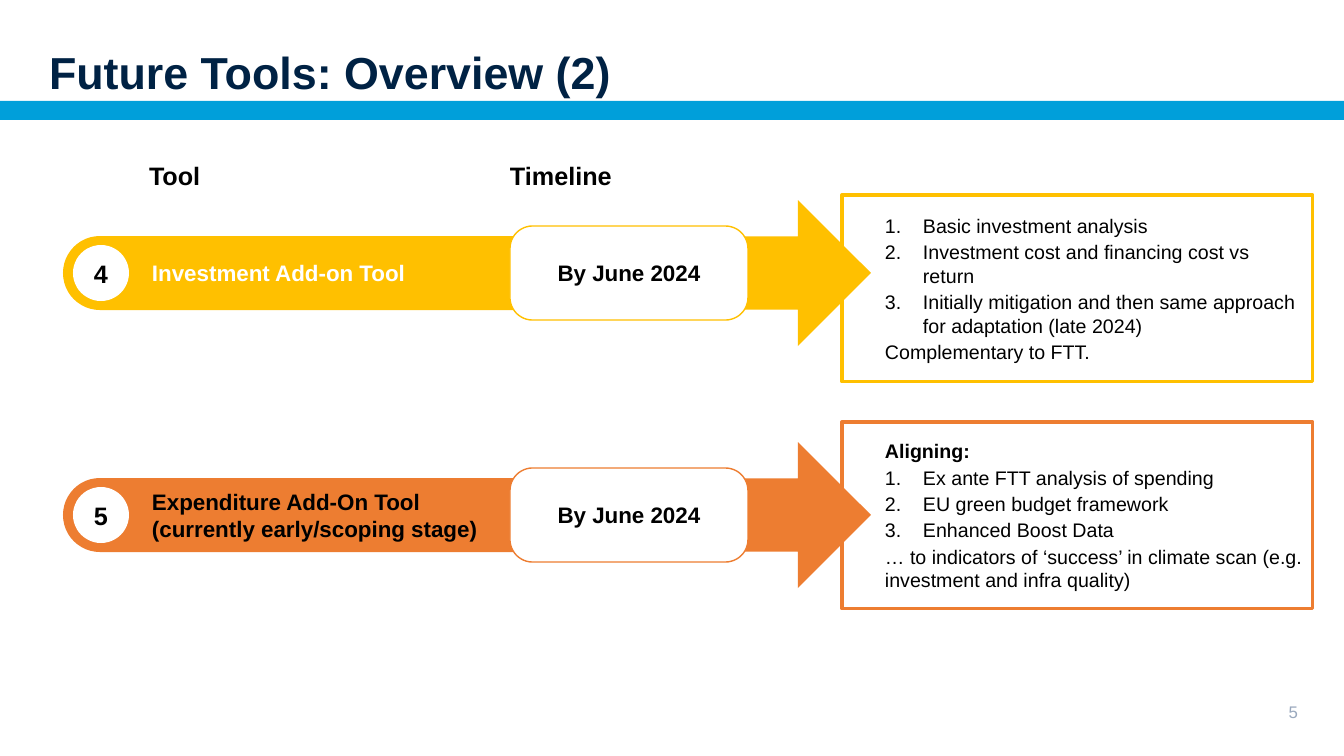
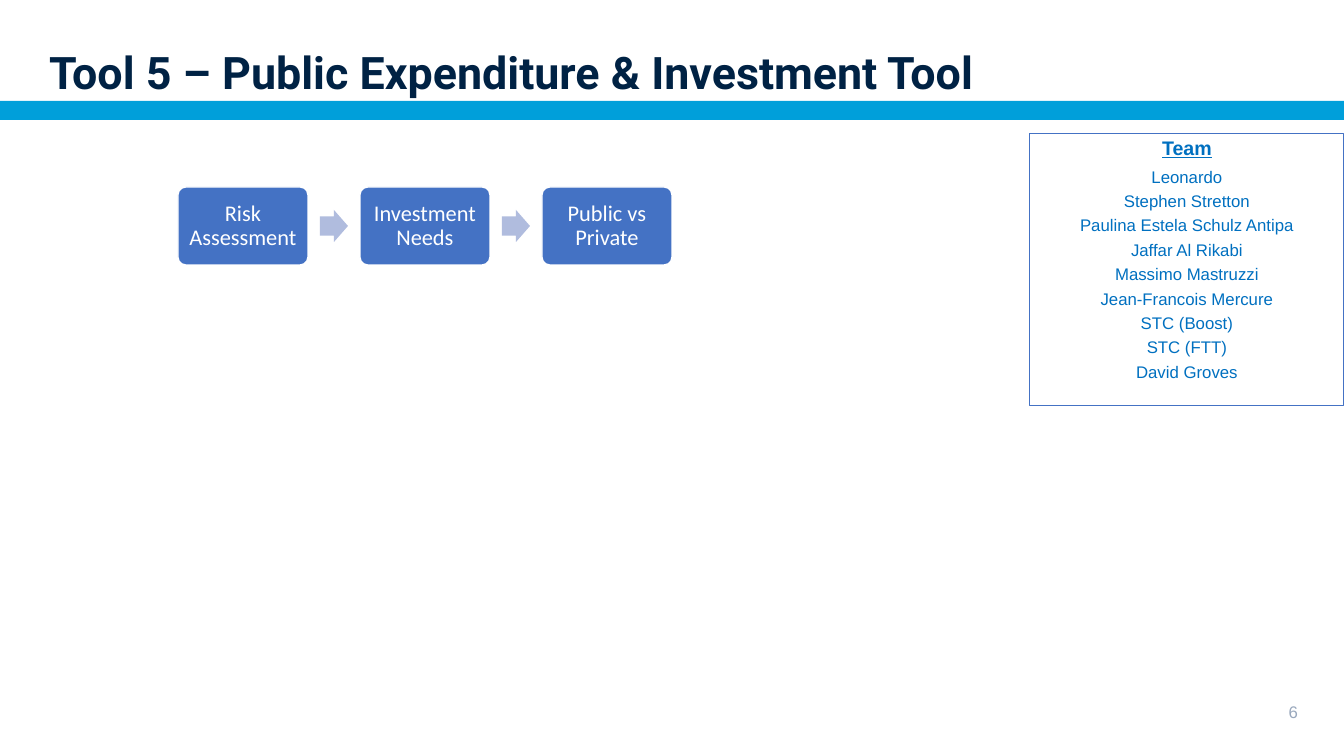
"""Builds two slides on future tools: a timeline overview and the tool 5 process."""
from lxml.etree import SubElement
from pptx import Presentation
from pptx.dml.color import RGBColor
from pptx.enum.shapes import MSO_SHAPE as Shape
from pptx.enum.text import MSO_ANCHOR as Anchor, PP_ALIGN as Align
from pptx.oxml.ns import qn
from pptx.util import Pt

SLIDE_WIDTH, SLIDE_HEIGHT = 1344, 756
EMU_PER_PX = 12192000 / SLIDE_WIDTH

NAVY = RGBColor(0x00, 0x22, 0x44)
CYAN = RGBColor(0x00, 0x9F, 0xDA)
GREY = RGBColor(0x99, 0xA8, 0xBD)
BLACK = RGBColor(0x00, 0x00, 0x00)
WHITE = RGBColor(0xFF, 0xFF, 0xFF)
YELLOW = RGBColor(0xFF, 0xC0, 0x00)
ORANGE = RGBColor(0xED, 0x7D, 0x31)
BLUE = RGBColor(0x44, 0x72, 0xC4)
TEAM_BLUE = RGBColor(0x00, 0x70, 0xC0)
PALE_BLUE = RGBColor(0xB0, 0xBC, 0xDE)

NO_INSETS = (0, 0, 0, 0)
DEFAULT_INSETS = (10, 5, 10, 5)
HEADING, NUMBERED, PLAIN = "heading", "numbered", "plain"

OVERVIEW_ROWS = [
    {
        "number": "4", "label": "Investment Add-on Tool", "label_color": WHITE,
        "date": "By June 2024", "color": YELLOW, "top": 200, "panel_top": 195,
        "lines": [
            (NUMBERED, "Basic investment analysis"),
            (NUMBERED, "Investment cost and financing cost vs return"),
            (NUMBERED, "Initially mitigation and then same approach for adaptation (late 2024)"),
            (PLAIN, "Complementary to FTT."),
        ],
    },
    {
        "number": "5", "label": "Expenditure Add-On Tool\n(currently early/scoping stage)",
        "label_color": BLACK, "date": "By June 2024", "color": ORANGE, "top": 442, "panel_top": 422,
        "lines": [
            (HEADING, "Aligning:"),
            (NUMBERED, "Ex ante FTT analysis of spending"),
            (NUMBERED, "EU green budget framework"),
            (NUMBERED, "Enhanced Boost Data"),
            (PLAIN, "… to indicators of ‘success’ in climate scan (e.g. investment and infra quality)"),
        ],
    },
]
PROCESS_STEPS = ["Risk Assessment", "Investment Needs", "Public vs Private"]
TEAM = [
    "Leonardo", "Stephen Stretton", "Paulina Estela Schulz Antipa", "Jaffar Al Rikabi",
    "Massimo Mastruzzi", "Jean-Francois Mercure", "STC (Boost)", "STC (FTT)", "David Groves",
]


def px(length):
    """Turn pixels into EMU."""
    return round(length * EMU_PER_PX)


def add_box(slide, kind, box, fill=None, line=None, line_width=1, adjustments=()):
    """Add a preset shape with an optional fill and outline."""
    shape = slide.shapes.add_shape(kind, *map(px, box))
    shape.shadow.inherit = False
    for index, value in enumerate(adjustments):
        shape.adjustments[index] = value
    if fill is None:
        shape.fill.background()
    else:
        shape.fill.solid()
        shape.fill.fore_color.rgb = fill
    if line is None:
        shape.line.fill.background()
    else:
        shape.line.color.rgb = line
        shape.line.width = Pt(line_width)
    return shape


def write(shape, text, size, color=BLACK, bold=False, font="Arial", align=Align.LEFT,
          anchor=Anchor.MIDDLE, insets=NO_INSETS, line_spacing=None):
    """Fill a shape with uniformly formatted text and return its paragraphs."""
    frame = shape.text_frame
    frame.text = text
    frame.word_wrap = True
    frame.vertical_anchor = anchor
    frame.margin_left, frame.margin_top, frame.margin_right, frame.margin_bottom = map(px, insets)
    for paragraph in frame.paragraphs:
        paragraph.alignment = align
        if line_spacing:
            paragraph.line_spacing = line_spacing
        for run in paragraph.runs:
            run.font.name = font
            run.font.size = Pt(size)
            run.font.bold = bold
            run.font.color.rgb = color
    return frame.paragraphs


def add_text(slide, box, text, size, **style):
    """Add a text box with uniformly formatted text."""
    return write(slide.shapes.add_textbox(*map(px, box)), text, size, **style)


def number_paragraph(paragraph):
    """Give a paragraph an automatic number and a hanging indent."""
    properties = paragraph._p.get_or_add_pPr()
    properties.set("marL", str(px(38)))
    properties.set("indent", str(px(-38)))
    SubElement(properties, qn("a:buFont"), typeface="+mj-lt")
    SubElement(properties, qn("a:buAutoNum"), type="arabicPeriod")


def add_framed_slide(presentation, title, page, title_font="Arial"):
    """Add a blank slide with the shared band, title and page number."""
    slide = presentation.slides.add_slide(presentation.slide_layouts[6])
    add_box(slide, Shape.RECTANGLE, (0, 101, SLIDE_WIDTH, 19), CYAN)
    add_text(slide, (39, 33, 1259, 84), title, 32, color=NAVY, bold=True, font=title_font,
             insets=DEFAULT_INSETS, line_spacing=0.9)
    add_text(slide, (1228, 697, 80, 30), page, 12, color=GREY, align=Align.RIGHT,
             insets=DEFAULT_INSETS)
    return slide


def add_panel(slide, box, color, lines):
    """Add an outlined panel of heading, numbered and plain lines."""
    panel = add_box(slide, Shape.RECTANGLE, box, WHITE, color, 2.25)
    text = "\n".join(content for _, content in lines)
    paragraphs = write(panel, text, 14, insets=(43, 5, 10, 5))
    for paragraph, (style, _) in zip(paragraphs, lines):
        if style == NUMBERED:
            number_paragraph(paragraph)
        paragraph.space_after = Pt(2)
        paragraph.runs[0].font.bold = style == HEADING


def add_tool_arrow(slide, left, top, row):
    """Add a numbered bar that runs through a date box into an arrow."""
    color = row["color"]
    add_box(slide, Shape.ROUNDED_RECTANGLE, (left, top + 36, 609, 74), color, adjustments=[0.5])
    add_box(slide, Shape.RIGHT_ARROW, (left + 410, top, 398, 146), color)
    circle = add_box(slide, Shape.OVAL, (left + 10, top + 45, 56, 56), WHITE)
    write(circle, row["number"], 18, bold=True, align=Align.CENTER)
    date = add_box(slide, Shape.ROUNDED_RECTANGLE, (left + 447, top + 26, 238, 94), WHITE, color,
                   adjustments=[0.24])
    write(date, row["date"], 16, bold=True, align=Align.CENTER)
    add_text(slide, (left + 89, top + 46, 336, 54), row["label"], 16, color=row["label_color"],
             bold=True)


def add_process(slide, left, top, steps):
    """Add rounded step boxes joined by small block arrows."""
    pitch = 182
    for index, step in enumerate(steps):
        step_left = left + index * pitch
        if index:
            add_box(slide, Shape.RIGHT_ARROW, (step_left - 40, top + 23, 28, 32), PALE_BLUE,
                    adjustments=[0.6, 0.5])
        box = add_box(slide, Shape.ROUNDED_RECTANGLE, (step_left, top, 130, 78), BLUE, WHITE,
                      adjustments=[0.1])
        write(box, step, 16, color=WHITE, font="Calibri", align=Align.CENTER,
              insets=(9, 9, 9, 9), line_spacing=0.9)


def add_team(slide, box, members):
    """Add an outlined list of team members under an underlined heading."""
    team = add_box(slide, Shape.RECTANGLE, box, line=BLUE, line_width=0.75)
    heading, *names = write(team, "\n".join(["Team", *members]), 12, color=TEAM_BLUE,
                            align=Align.CENTER, anchor=Anchor.TOP, insets=(0, 2, 0, 0))
    heading_font = heading.runs[0].font
    heading_font.size = Pt(14)
    heading_font.bold = heading_font.underline = True
    for name in names:
        name.space_before = Pt(3)
    names[0].space_before = Pt(5)


def build_overview(presentation):
    """Build the slide that lists the tools with their timelines."""
    slide = add_framed_slide(presentation, "Future Tools: Overview (2)", "5")
    for left, heading in ((149, "Tool"), (510, "Timeline")):
        add_text(slide, (left, 164, 238, 27), heading, 18, bold=True, anchor=Anchor.BOTTOM)
    for row in OVERVIEW_ROWS:
        add_panel(slide, (842, row["panel_top"], 471, 187), row["color"], row["lines"])
        add_tool_arrow(slide, 63, row["top"], row)


def build_tool_five(presentation):
    """Build the slide with the process and the team of tool 5."""
    slide = add_framed_slide(presentation, "Tool 5 – Public Expenditure & Investment Tool", "6",
                             title_font="Roboto")
    add_team(slide, (1030, 134, 314, 272), TEAM)
    add_process(slide, 178, 187, PROCESS_STEPS)


def main():
    """Build and save the presentation."""
    presentation = Presentation()
    presentation.slide_width = px(SLIDE_WIDTH)
    presentation.slide_height = px(SLIDE_HEIGHT)
    build_overview(presentation)
    build_tool_five(presentation)
    presentation.save("out.pptx")


if __name__ == "__main__":
    main()
